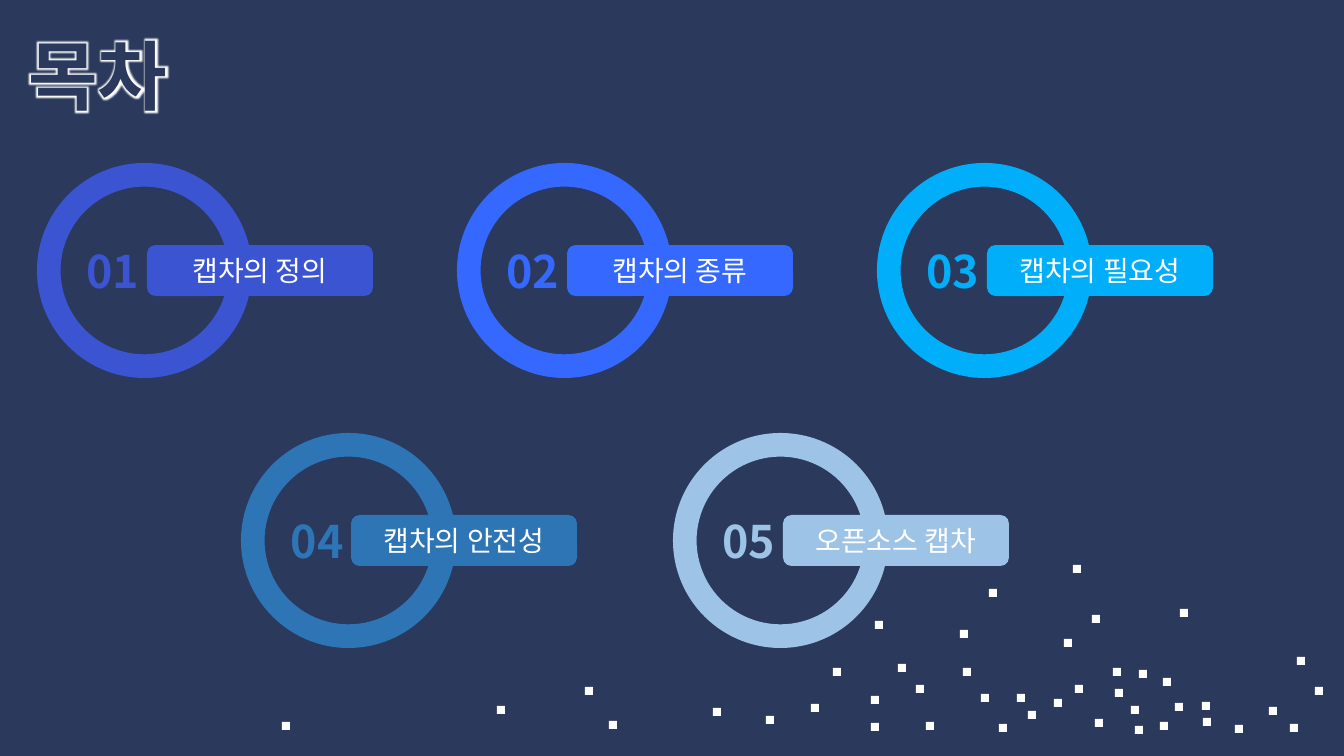
from lxml import etree
from pptx import Presentation
from pptx import util as u
from pptx.dml.color import RGBColor
from pptx.enum import shapes, text
from pptx.oxml import ns

NAVY = RGBColor(0x2A, 0x39, 0x5C)
WHITE = RGBColor(0xFF, 0xFF, 0xFF)
INDIGO = RGBColor(0x3B, 0x54, 0xD1)
BLUE = RGBColor(0x34, 0x68, 0xFF)
CYAN = RGBColor(0x01, 0xAE, 0xFA)
STEEL = RGBColor(0x2E, 0x75, 0xB6)
PALE = RGBColor(0x9D, 0xC3, 0xE6)
FONT = "Noto Sans CJK KR"

TITLE = "목차"
# left, top and step of each row, then its items
ROWS = [
    (37, 163, 420, [("캡차의 정의", INDIGO), ("캡차의 종류", BLUE), ("캡차의 필요성", CYAN)]),
    (241, 433, 432, [("캡차의 안전성", STEEL), ("오픈소스 캡차", PALE)]),
]
DOTS = [
    (282, 722), (497, 706), (585, 687), (609, 721), (713, 708), (766, 716),
    (811, 704), (833, 668), (871, 696), (871, 723), (875, 621), (898, 664),
    (916, 685), (926, 722), (960, 630), (963, 668), (981, 694), (989, 589),
    (999, 724), (1017, 694), (1028, 711), (1054, 699), (1064, 639), (1073, 565),
    (1075, 685), (1092, 615), (1095, 719), (1113, 668), (1115, 689), (1131, 706),
    (1135, 726), (1139, 670), (1160, 722), (1163, 678), (1175, 703), (1180, 609),
    (1202, 702), (1203, 718), (1235, 725), (1269, 707), (1290, 724), (1297, 657),
    (1315, 687),
]
DOT, RING = 8, 215


def px(*vals):
    return [u.Emu(round(v * 914400 / 100.8)) for v in vals]


def write(shape, words, size, color, bold=False, align=text.PP_ALIGN.CENTER,
          anchor=text.MSO_ANCHOR.MIDDLE, inset=None):
    frame = shape.text_frame
    frame.word_wrap = True
    frame.auto_size = text.MSO_AUTO_SIZE.NONE
    frame.vertical_anchor = anchor
    if inset is not None:
        frame.margin_left = frame.margin_right = inset
        frame.margin_top = frame.margin_bottom = inset
    para = frame.paragraphs[0]
    para.alignment = align
    run = para.add_run()
    run.text = words
    font = run.font
    font.size, font.bold, font.name = u.Pt(size), bold, FONT
    font.color.rgb = color
    east = etree.SubElement(run._r.get_or_add_rPr(), ns.qn("a:ea"))
    east.set("typeface", FONT)
    return run


def glow(run, color, radius):
    """Put a soft halo around the letters, just after their fill."""
    effects = etree.Element(ns.qn("a:effectLst"))
    halo = etree.SubElement(effects, ns.qn("a:glow"), rad=str(u.Pt(radius)))
    etree.SubElement(halo, ns.qn("a:srgbClr"), val=str(color))
    run._r.get_or_add_rPr().find(ns.qn("a:solidFill")).addnext(effects)


def draw(slide, kind, box, color):
    shape = slide.shapes.add_shape(kind, *px(*box))
    shape.shadow.inherit = False
    shape.fill.solid()
    shape.fill.fore_color.rgb = color
    shape.line.fill.background()
    return shape


def add_item(slide, left, top, num, label, color):
    ring = draw(slide, shapes.MSO_SHAPE.DONUT, (left, top, RING, RING), color)
    ring.adjustments[0] = 0.11
    bar = draw(slide, shapes.MSO_SHAPE.ROUNDED_RECTANGLE,
               (left + 110, top + 82, 226, 51), color)
    write(bar, label, 20, WHITE)
    box = slide.shapes.add_textbox(*px(left + 44, top + 84, 64, 47))
    write(box, f"{num:02}", 32, color, bold=True, inset=0)


def main():
    deck = Presentation()
    deck.slide_width, deck.slide_height = px(1344, 756)
    slide = deck.slides.add_slide(deck.slide_layouts[5])
    slide.background.fill.solid()
    slide.background.fill.fore_color.rgb = NAVY

    title = slide.shapes.title
    title.left, title.top, title.width, title.height = px(28, 29, 921, 92)
    run = write(title, TITLE, 54, NAVY, bold=True, align=text.PP_ALIGN.LEFT,
                anchor=text.MSO_ANCHOR.TOP, inset=0)
    glow(run, WHITE, 5)

    for left, top in DOTS:
        draw(slide, shapes.MSO_SHAPE.RECTANGLE, (left, top, DOT, DOT), WHITE)

    num = 0
    for left, top, step, items in ROWS:
        for col, (label, color) in enumerate(items):
            num += 1
            add_item(slide, left + col * step, top, num, label, color)
    deck.save("out.pptx")


if __name__ == "__main__":
    main()
